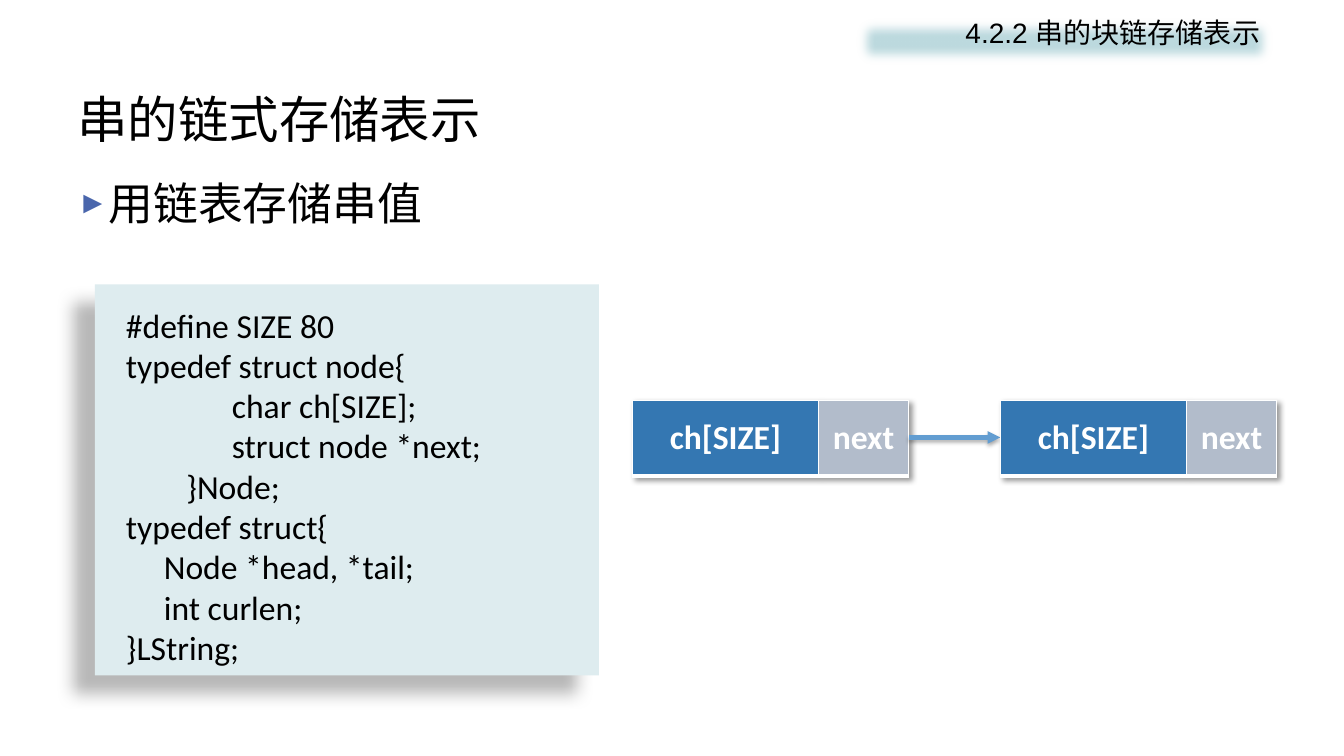
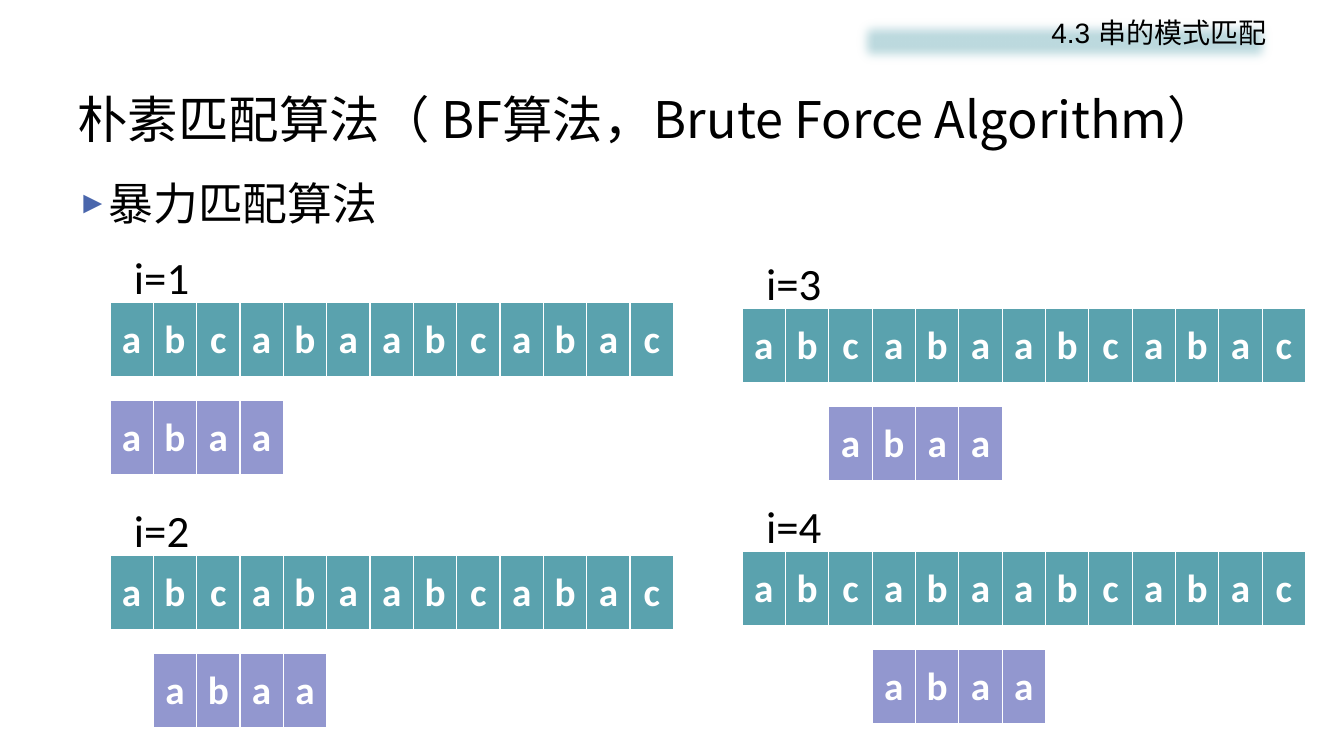
from lxml import etree
from pptx import Presentation
from pptx.dml.color import RGBColor
from pptx.enum.shapes import MSO_CONNECTOR, MSO_SHAPE
from pptx.enum.text import MSO_ANCHOR, PP_ALIGN
from pptx.oxml import parse_xml
from pptx.oxml.ns import nsdecls, qn
from pptx.util import Inches, Pt

COLORS = {
    "black": "000000", "white": "FFFFFF", "bullet": "4A66AC",
    "banner": "BDDADF", "card": "DEECEF", "data": "3477B2",
    "pointer": "B2BCCB", "arrow": "629DD1", "text": "5AA2AE",
    "pattern": "9297CF",
}
CJK_FONT = "Noto Sans CJK SC"
CODE_SPACE = 0.075  # width of one space in the code font
CELL_WIDTH = 0.43
ROW_HEIGHT = 0.75
CODE = [  # (indent in spaces, line)
    (0, "#define SIZE 80"),
    (0, "typedef struct node{"),
    (14, "char ch[SIZE];"),
    (14, "struct node *next;"),
    (8, "}Node;"),
    (0, "typedef struct{"),
    (5, "Node *head, *tail;"),
    (5, "int curlen;"),
    (0, "}LString;"),
]


def rgb(name):
    return RGBColor.from_string(COLORS[name])


def format_para(para, size, font, color="black", bold=False, align=None):
    para.alignment = align
    for span in para.runs:
        span.font.size = Pt(size)
        span.font.name = font
        span.font.bold = bold
        span.font.color.rgb = rgb(color)
        east_asian = etree.SubElement(span.font._element, qn("a:ea"))
        east_asian.set("typeface", CJK_FONT)


def effects(content):
    return parse_xml(f'<a:effectLst {nsdecls("a")}>{content}</a:effectLst>')


def shadow(alpha, blur, distance, angle):
    """Outer shadow; alpha in percent, blur and distance in points."""
    return effects(
        f'<a:outerShdw blurRad="{Pt(blur)}" dist="{Pt(distance)}" '
        f'dir="{angle * 60000}" algn="tl" rotWithShape="0">'
        f'<a:srgbClr val="{COLORS["black"]}"><a:alpha val="{alpha * 1000}"/>'
        '</a:srgbClr></a:outerShdw>')


def add_text(page, text, left, top, width, height, size, font, wrap=True):
    box = page.shapes.add_textbox(
        Inches(left), Inches(top), Inches(width), Inches(height))
    frame = box.text_frame
    frame.word_wrap = wrap
    frame.text = text
    format_para(frame.paragraphs[0], size, font)
    return frame


def add_panel(page, left, top, width, height, color, effect):
    panel = page.shapes.add_shape(
        MSO_SHAPE.RECTANGLE,
        Inches(left), Inches(top), Inches(width), Inches(height))
    panel.fill.solid()
    panel.fill.fore_color.rgb = rgb(color)
    panel.line.fill.background()
    panel._element.spPr.append(effect)
    panel.text_frame.word_wrap = True
    panel.text_frame.vertical_anchor = MSO_ANCHOR.TOP
    return panel.text_frame


def add_bullet(para):
    properties = para._p.get_or_add_pPr()
    properties.set("marL", str(Inches(0.28)))
    properties.set("indent", str(-Inches(0.28)))
    for xml in (f'<a:buClr {nsdecls("a")}><a:srgbClr val="{COLORS["bullet"]}"/></a:buClr>',
                f'<a:buSzPct {nsdecls("a")} val="70000"/>',
                f'<a:buFont {nsdecls("a")} typeface="Arial"/>',
                f'<a:buChar {nsdecls("a")} char="►"/>'):
        properties.append(parse_xml(xml))


def add_page(deck, section, title, point):
    """Add a slide with its section banner, title and bulleted point."""
    page = deck.slides.add_slide(deck.slide_layouts[6])
    frame = add_text(page, title, 0.67, 0.8, 12, 0.75, 36, CJK_FONT)
    frame.vertical_anchor = MSO_ANCHOR.MIDDLE
    frame = add_text(page, point, 0.67, 1.75, 12, 0.75, 32, CJK_FONT)
    frame.paragraphs[0].line_spacing = 0.9
    add_bullet(frame.paragraphs[0])
    soft_edge = effects(f'<a:softEdge rad="{Inches(0.12)}"/>')
    banner = add_panel(page, 8.46, 0.14, 4.2, 0.54, "banner", soft_edge)
    banner.text = section
    format_para(banner.paragraphs[0], 20, "Arial", align=PP_ALIGN.RIGHT)
    banner.paragraphs[0].line_spacing = 0.9
    return page


def set_borders(cell):
    properties = cell._tc.get_or_add_tcPr()
    for position, (side, width) in enumerate(
            [("lnL", 1), ("lnR", 1), ("lnT", 1), ("lnB", 3)]):
        properties.insert(position, parse_xml(
            f'<a:{side} {nsdecls("a")} w="{Pt(width)}"><a:solidFill>'
            f'<a:srgbClr val="{COLORS["white"]}"/></a:solidFill></a:{side}>'))


def add_row(page, left, top, cells, size):
    """Add a one-row table from (text, width, color) cells."""
    total = sum(width for _, width, _ in cells)
    table = page.shapes.add_table(
        1, len(cells), Inches(left), Inches(top),
        Inches(total), Inches(ROW_HEIGHT)).table
    for column, (text, width, color) in enumerate(cells):
        table.columns[column].width = Inches(width)
        cell = table.cell(0, column)
        cell.text = text
        cell.vertical_anchor = MSO_ANCHOR.MIDDLE
        cell.fill.solid()
        cell.fill.fore_color.rgb = rgb(color)
        set_borders(cell)
        format_para(cell.text_frame.paragraphs[0], size, "Calibri", "white",
                    bold=True, align=PP_ALIGN.CENTER)
    return table


def add_node(page, left, top):
    cells = [("ch[SIZE]", 1.85, "data"), ("next", 0.89, "pointer")]
    table = add_row(page, left, top, cells, 24)
    table._tbl.tblPr.insert(0, shadow(40, 4, 3, 45))


def add_arrow(page, start, end, y):
    arrow = page.shapes.add_connector(
        MSO_CONNECTOR.STRAIGHT,
        Inches(start), Inches(y), Inches(end), Inches(y))
    arrow.line.color.rgb = rgb("arrow")
    arrow.line.width = Pt(3)
    head = etree.SubElement(arrow.line._get_or_add_ln(), qn("a:tailEnd"))
    head.set("type", "triangle")
    arrow._element.spPr.append(shadow(35, 3.1, 1.8, 90))


def add_code(page, lines):
    frame = add_panel(page, 0.94, 2.82, 5, 3.88, "card",
                      shadow(28, 11.8, 19.7, 141))
    frame.margin_left, frame.margin_top = Inches(0.31), Inches(0.2)
    frame.text = "\n".join(line for _, line in lines)
    for para, (spaces, _) in zip(frame.paragraphs, lines):
        format_para(para, 24, "Calibri", align=PP_ALIGN.LEFT)
        para._p.get_or_add_pPr().set("marL", str(Inches(spaces * CODE_SPACE)))


def add_letters(page, left, top, letters, color):
    add_row(page, left, top,
            [(letter, CELL_WIDTH, color) for letter in letters], 28)


def add_match_step(page, step, left, top):
    """Show the pattern shifted under the text for one comparison step."""
    add_letters(page, left, top, "abcabaabcabac", "text")
    add_letters(page, left + (step - 1) * CELL_WIDTH, top + 0.97,
                "abaa", "pattern")
    add_text(page, f"i={step}", left + 0.14, top - 0.57, 0.85, 0.64,
             32, "Calibri", wrap=False)


def main():
    deck = Presentation()
    deck.slide_width, deck.slide_height = Inches(13.33), Inches(7.5)

    page = add_page(deck, "4.2.2 串的块链存储表示 ", "串的链式存储表示", "用链表存储串值")
    add_code(page, CODE)
    add_node(page, 6.27, 3.97)
    add_arrow(page, 9.02, 9.92, 4.34)
    add_node(page, 9.92, 3.97)

    page = add_page(deck, "4.3 串的模式匹配",
                    "朴素匹配算法（ BF算法，Brute Force Algorithm）", "暴力匹配算法")
    corners = [(1.09, 3), (1.09, 5.51), (7.36, 3.06), (7.36, 5.47)]
    for step, (left, top) in enumerate(corners, start=1):
        add_match_step(page, step, left, top)

    deck.save("out.pptx")


if __name__ == "__main__":
    main()
